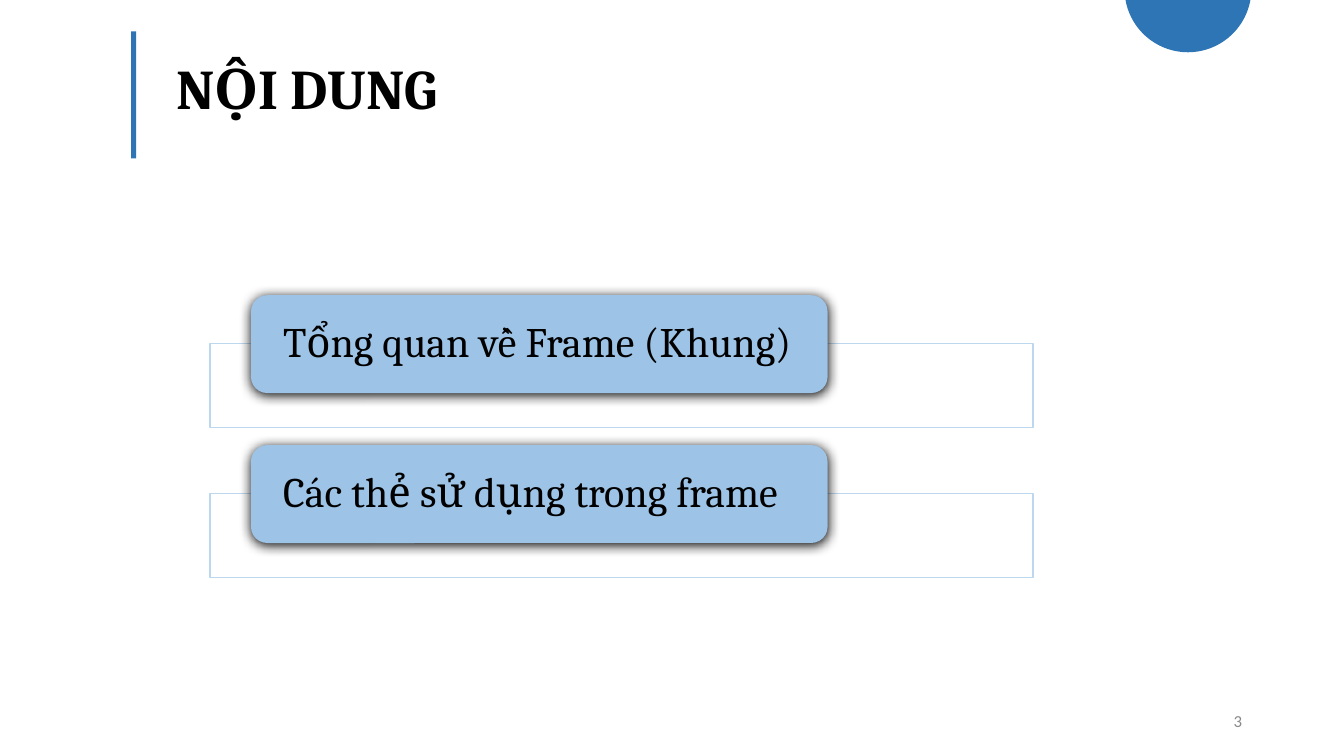
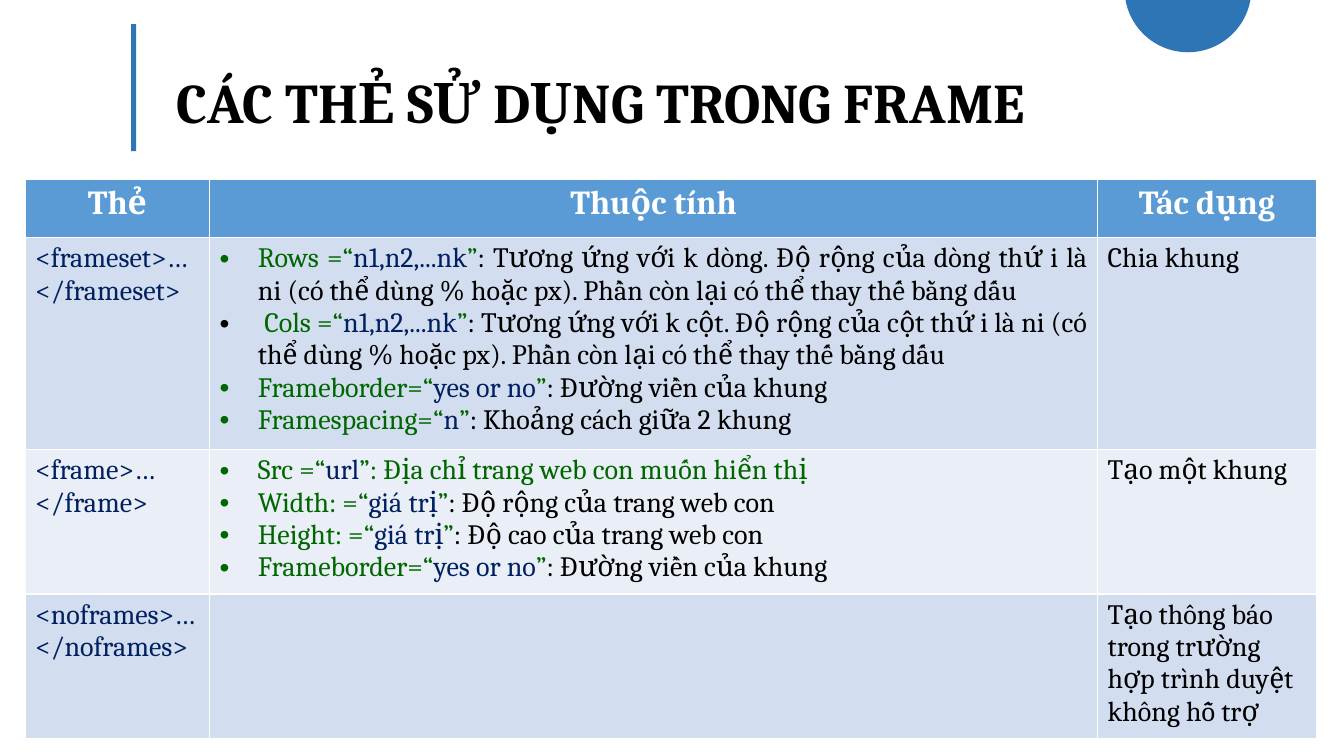
from math import cos, pi, sin

from lxml.etree import SubElement
from pptx import Presentation
from pptx.dml.color import RGBColor
from pptx.enum.shapes import MSO_SHAPE
from pptx.enum.text import MSO_ANCHOR, PP_ALIGN
from pptx.oxml.ns import qn
from pptx.util import Inches, Pt

BLACK = RGBColor(0x00, 0x00, 0x00)
WHITE = RGBColor(0xFF, 0xFF, 0xFF)
BLUE = RGBColor(0x2E, 0x75, 0xB6)
PILL = RGBColor(0x9D, 0xC3, 0xE6)
FRAME = RGBColor(0xBD, 0xD7, 0xEE)
HEADER = RGBColor(0x5B, 0x9B, 0xD5)
BANDS = [RGBColor(0xD2, 0xDE, 0xEF), RGBColor(0xEA, 0xEF, 0xF7)]
GRAY = RGBColor(0x89, 0x89, 0x89)
NAVY = RGBColor(0x00, 0x20, 0x60)
GREEN = RGBColor(0x00, 0x66, 0x00)

prs = Presentation()
prs.slide_width, prs.slide_height = Inches(13.33), Inches(7.5)
COL, ROW = prs.slide_width / 64, prs.slide_height / 36


def grid(x, y, w, h):
    return [round(v) for v in (x * COL, y * ROW, w * COL, h * ROW)]


def write(p, text, size=20, color=BLACK, bold=False, font="Cambria", align=None, spacing=None):
    r = p.add_run()
    r.text = text
    r.font.name, r.font.size, r.font.bold = font, Pt(size), bold
    r.font.color.rgb = color
    p.alignment, p.line_spacing = align, spacing


slides = []
for title, number, title_top, bar_top in [
    ("NỘI DUNG", "3", 0.86, 1.49),
    ("CÁC THẺ SỬ DỤNG TRONG FRAME", "5", 1.54, 1.15),
]:
    s = prs.slides.add_slide(prs.slide_layouts[6])
    slides.append(s)
    arc = [((56.57 + 3.02 * cos(a)) * COL, (3.02 * sin(a) - 0.53) * ROW)
           for a in (0.18 + (pi - 0.36) * i / 60 for i in range(61))]
    fb = s.shapes.build_freeform(round(arc[0][0]), max(0, round(arc[0][1])))
    fb.add_line_segments([(round(x), max(0, round(y))) for x, y in arc[1:]])
    bar = s.shapes.add_shape(MSO_SHAPE.RECTANGLE, *grid(6.24, bar_top, 0.24, 6.05))
    for sp in (fb.convert_to_shape(), bar):
        sp.shadow.inherit = False
        sp.fill.solid()
        sp.fill.fore_color.rgb = BLUE
        sp.line.fill.background()
    for box, text, style in [
        ((7.92, title_top, 46.75, 6.96), title, dict(size=40, bold=True, spacing=0.9)),
        ((45.22, 33.36, 14.4, 1.92), number,
         dict(size=12, color=GRAY, font="Calibri", align=PP_ALIGN.RIGHT)),
    ]:
        tf = s.shapes.add_textbox(*grid(*box)).text_frame
        tf.word_wrap = True
        tf.vertical_anchor = MSO_ANCHOR.MIDDLE
        write(tf.paragraphs[0], text, **style)

s = slides[0]
for i, topic in enumerate(["Tổng quan về Frame (Khung)", "Các thẻ sử dụng trong frame"]):
    top = 14.06 + 7.14 * i
    sp = s.shapes.add_shape(MSO_SHAPE.RECTANGLE, *grid(10, top + 2.31, 39.2, 4))
    sp.shadow.inherit = False
    sp.fill.solid()
    sp.fill.fore_color.rgb = WHITE
    sp.line.color.rgb = FRAME
    sp.line.width = Pt(1)

    sp = s.shapes.add_shape(MSO_SHAPE.ROUNDED_RECTANGLE, *grid(11.95, top, 27.46, 4.66))
    sp.fill.solid()
    sp.fill.fore_color.rgb = PILL
    sp.line.fill.background()
    effects = SubElement(sp.element.spPr, qn("a:effectLst"))
    shadow = SubElement(effects, qn("a:outerShdw"), blurRad=str(Pt(8.5)), dist=str(Pt(1)),
                        dir="5400000", algn="ctr", rotWithShape="0")
    SubElement(shadow, qn("a:srgbClr"), val=str(BLACK))
    tf = sp.text_frame
    tf.word_wrap = True
    tf.vertical_anchor = MSO_ANCHOR.MIDDLE
    tf.margin_left = tf.margin_right = round(1.3 * COL)
    write(tf.paragraphs[0], topic, size=30, align=PP_ALIGN.LEFT, spacing=0.9)

heads = ["Thẻ", "Thuộc tính", "Tác dụng"]
rows = [
    (["<frameset>…", "</frameset>"],
     ["Rows =“|n1,n2,...nk|”|: Tương ứng với k dòng. Độ rộng của dòng thứ i là ni "
      "(có thể dùng % hoặc px). Phần còn lại có thể thay thế bằng dấu",
      " |Cols =“|n1,n2,...nk|”|: Tương ứng với k cột. Độ rộng của cột thứ i là ni "
      "(có thể dùng % hoặc px). Phần còn lại có thể thay thế bằng dấu",
      "Frameborder=“|yes or no|”|: Đường viền của khung",
      "Framespacing=“|n|”|: Khoảng cách giữa 2 khung"],
     "Chia khung"),
    (["<frame>…", "</frame>"],
     ["Src =“|url|”: Địa chỉ trang web con muốn hiển thị",
      "Width: =“|giá trị|”|: Độ rộng của trang web con",
      "Height: =“|giá trị|”|: Độ cao của trang web con",
      "Frameborder=“|yes or no|”|: Đường viền của khung"],
     "Tạo một khung"),
    (["<noframes>…</noframes>"], [],
     "Tạo thông báo trong trường hợp trình duyệt không hỗ trợ"),
]
widths, heights = [8.78, 42.29, 10.42], [2.78, 9.7, 6.62, 6.62]
tbl = slides[1].shapes.add_table(
    len(heights), len(widths), *grid(1.2, 8.54, sum(widths), sum(heights))).table
for column, w in zip(tbl.columns, widths):
    column.width = round(w * COL)
for row, h in zip(tbl.rows, heights):
    row.height = round(h * ROW)
for c, head in enumerate(heads):
    cell = tbl.cell(0, c)
    cell.fill.solid()
    cell.fill.fore_color.rgb = HEADER
    write(cell.text_frame.paragraphs[0], head, size=24, color=WHITE, bold=True,
          align=PP_ALIGN.CENTER)

for i, (tags, attributes, effect) in enumerate(rows):
    for c, lines in enumerate([tags, attributes, [effect]]):
        cell = tbl.cell(i + 1, c)
        cell.fill.solid()
        cell.fill.fore_color.rgb = BANDS[i % 2]
        tf = cell.text_frame
        for n, line in enumerate(lines):
            p = tf.add_paragraph() if n else tf.paragraphs[0]
            if c != 1:
                write(p, line, color=BLACK if c else NAVY)
                continue
            colors = [BLACK, GREEN, NAVY, GREEN, BLACK]
            for part, color in zip(line.split("|"), colors if line[0] == " " else colors[1:]):
                write(p, part, color=color, align=PP_ALIGN.JUSTIFY)
            pPr = p._p.get_or_add_pPr()
            pPr.set("marL", str(Inches(0.38)))
            pPr.set("indent", str(-Inches(0.38)))
            SubElement(pPr, qn("a:buFont"), typeface="Arial")
            SubElement(pPr, qn("a:buChar"), char="•")

prs.save("out.pptx")
